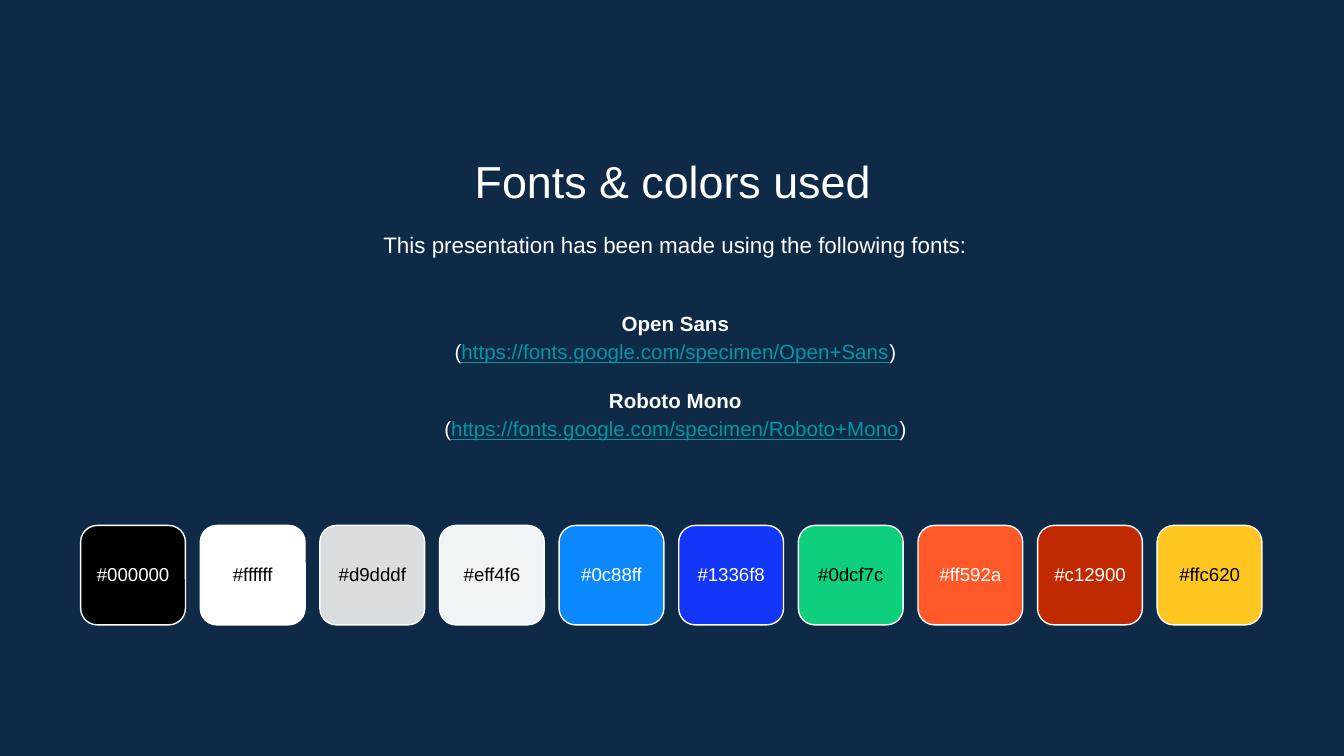
from pptx import Presentation
from pptx.dml.color import RGBColor
from pptx.enum.shapes import MSO_SHAPE
from pptx.enum.text import MSO_ANCHOR, PP_ALIGN
from pptx.util import Inches, Pt

COLORS = {"back": "0E2A47", "white": "FFFFFF", "black": "000000", "link": "0097A7"}
FONTS = [
    ("Open Sans", "https://fonts.google.com/specimen/Open+Sans"),
    ("Roboto Mono", "https://fonts.google.com/specimen/Roboto+Mono"),
]
SWATCHES = [
    ("000000", "white"), ("ffffff", "black"), ("d9dddf", "black"),
    ("eff4f6", "black"), ("0c88ff", "white"), ("1336f8", "white"),
    ("0dcf7c", "black"), ("ff592a", "white"), ("c12900", "white"),
    ("ffc620", "black"),
]


def rgb(name):
    """Return the colour for a name or a hex string."""
    return RGBColor.from_string(COLORS.get(name, name).upper())


class Deck:
    """Hold the style and the current slide."""

    font = "Arial"
    inset = Inches(0.1)

    def __init__(self, width, height):
        """Open a deck with one title-only slide."""
        self.file = Presentation()
        self.file.slide_width = Inches(width)
        self.file.slide_height = Inches(height)
        self.slide = self.file.slides.add_slide(self.file.slide_layouts[5])
        fill = self.slide.background.fill
        fill.solid()
        fill.fore_color.rgb = rgb("back")

    def frame(self, shape, anchor):
        """Set the insets, wrapping and anchor of a text shape."""
        frame = shape.text_frame
        frame.margin_left = frame.margin_right = self.inset
        frame.margin_top = frame.margin_bottom = self.inset
        frame.word_wrap = True
        frame.vertical_anchor = anchor
        return frame

    def style(self, para, size, color="white", bold=False):
        """Centre a paragraph and set its font."""
        para.alignment = PP_ALIGN.CENTER
        font = para.font
        font.name, font.size, font.bold = self.font, Pt(size), bold
        font.color.rgb = rgb(color)

    def title(self, box, text, size):
        """Place and fill the title."""
        shape = self.slide.shapes.title
        shape.left, shape.top, shape.width, shape.height = map(Inches, box)
        para = self.frame(shape, MSO_ANCHOR.TOP).paragraphs[0]
        para.text = text
        self.style(para, size)

    def text(self, box, text, size, color="white", anchor=MSO_ANCHOR.MIDDLE, space=1.0):
        """Add a box with one centred line."""
        shape = self.slide.shapes.add_textbox(*map(Inches, box))
        para = self.frame(shape, anchor).paragraphs[0]
        para.text = text
        para.line_spacing = space
        self.style(para, size, color)

    def credits(self, box, fonts, size, space, gap):
        """Add a box with each font name above its address."""
        shape = self.slide.shapes.add_textbox(*map(Inches, box))
        frame = self.frame(shape, MSO_ANCHOR.MIDDLE)
        for i, (name, link) in enumerate(fonts):
            head = frame.add_paragraph() if i else frame.paragraphs[0]
            head.text = name
            if i:
                head.space_before = Pt(gap)
            self.style(head, size, bold=True)
            line = frame.add_paragraph()
            for part in ("(", link, ")"):
                run = line.add_run()
                run.text = part
                if part == link:
                    run.font.underline = True
                    run.font.color.rgb = rgb("link")
            self.style(line, size)
            head.line_spacing = line.line_spacing = space

    def swatch(self, left, code, color):
        """Add a rounded tile with its colour code."""
        box = map(Inches, (left, 3.91, 0.78, 0.74))
        tile = self.slide.shapes.add_shape(MSO_SHAPE.ROUNDED_RECTANGLE, *box)
        tile.shadow.inherit = False
        tile.fill.solid()
        tile.fill.fore_color.rgb = rgb(code)
        tile.line.color.rgb = rgb("white")
        tile.line.width = Pt(0.75)
        self.text((left, 4.06, 0.78, 0.43), f"#{code}", 10, color)


def main():
    """Build and save the slide."""
    deck = Deck(10, 5.625)
    deck.title((1.15, 1.04, 7.71, 0.53), "Fonts & colors used", 24)
    deck.text(
        (1.17, 1.59, 7.71, 0.48),
        "This presentation has been made using the following fonts:",
        12, anchor=MSO_ANCHOR.TOP, space=1.15,
    )
    deck.credits((1.17, 2.1, 7.71, 1.37), FONTS, 11, 1.15, 11)
    for i, (code, color) in enumerate(SWATCHES):
        deck.swatch(0.6 + 0.89 * i, code, color)
    deck.file.save("out.pptx")


if __name__ == "__main__":
    main()
